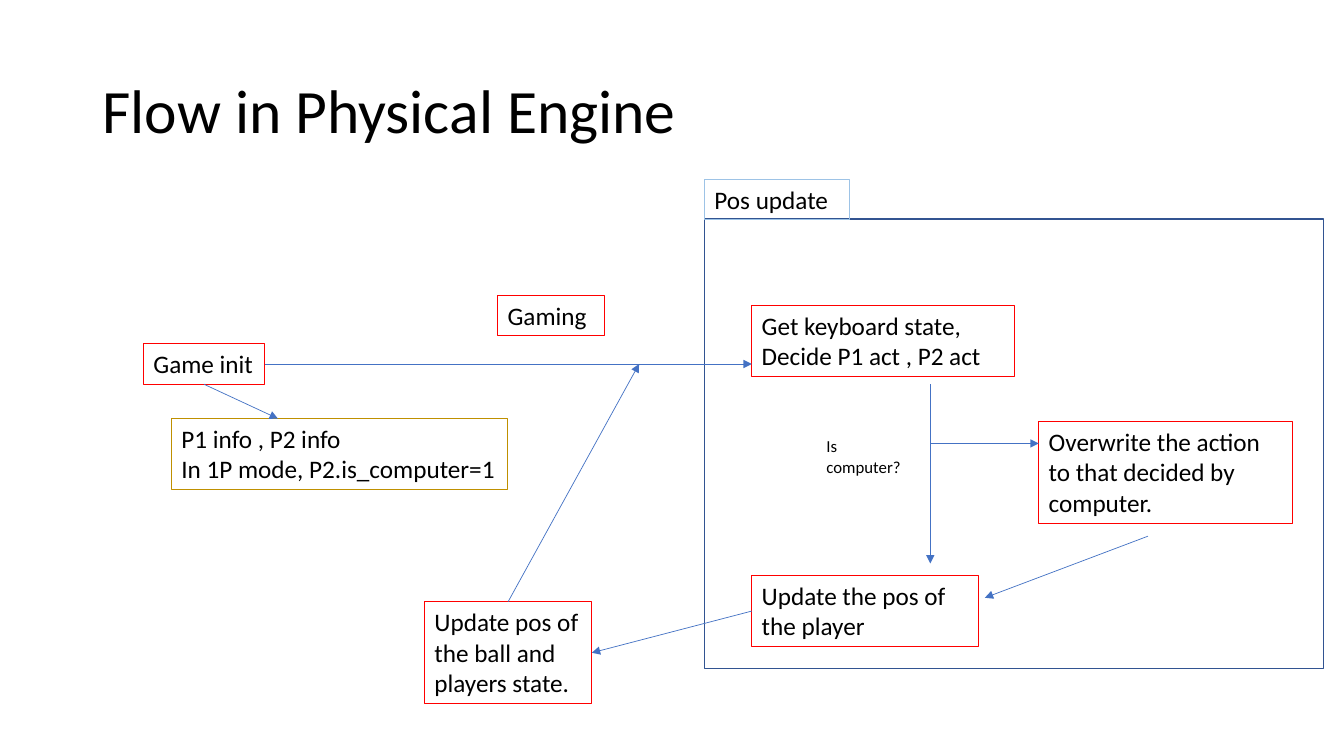
from pptx import Presentation
from pptx.dml.color import RGBColor as RGB
from pptx.enum.shapes import MSO_CONNECTOR as Link, MSO_SHAPE as Form
from pptx.enum.text import MSO_ANCHOR as Anchor, MSO_AUTO_SIZE as Fit
from pptx.oxml.ns import qn
from pptx.util import Pt
from lxml.etree import SubElement as Sub

BLACK = RGB(0, 0, 0)
WHITE = RGB(0xFF, 0xFF, 0xFF)
RED = RGB(0xFF, 0, 0)
GOLD = RGB(0xBF, 0x90, 0)
SKY = RGB(0x9D, 0xC3, 0xE6)
BLUE = RGB(0x44, 0x72, 0xC4)
NAVY = RGB(0x32, 0x54, 0x91)

# Connection sites of a box
TOP, LEFT, BOTTOM, RIGHT = range(4)


def write(frame, text, size=18, color=BLACK, font="Calibri", space=None):
    """Fill a text frame, one paragraph for each line of text."""
    for i, line in enumerate(text.split("\n")):
        par = frame.add_paragraph() if i else frame.paragraphs[0]
        par.line_spacing = space
        run = par.add_run()
        run.text = line
        run.font.size, run.font.name = Pt(size), font
        run.font.color.rgb = color


class Flow:
    """Style of the flow chart and the slide it is drawn on."""

    edge, thin = 0.75, 0.5

    def __init__(self, deck):
        self.slide = deck.slides.add_slide(deck.slide_layouts[5])
        self.shapes = self.slide.shapes

    def place(self, shape, left, top, width, height):
        shape.left, shape.top = Pt(left), Pt(top)
        shape.width, shape.height = Pt(width), Pt(height)

    def title(self, text, *area):
        head = self.shapes.title
        self.place(head, *area)
        head.text_frame.vertical_anchor = Anchor.MIDDLE
        write(head.text_frame, text, size=44, space=0.9)
        for par in head.text_frame.paragraphs:
            par.alignment = 1

    def box(self, text, *area, line=RED, size=18):
        box = self.shapes.add_textbox(*map(Pt, area))
        box.line.color.rgb, box.line.width = line, Pt(self.edge)
        frame = box.text_frame
        frame.word_wrap = True
        frame.auto_size = Fit.SHAPE_TO_FIT_TEXT
        write(frame, text, size=size)
        return box

    def frame(self, *area):
        rect = self.shapes.add_shape(Form.RECTANGLE, *map(Pt, area))
        rect.shadow.inherit = False
        rect.fill.background()
        rect.line.color.rgb, rect.line.width = NAVY, Pt(1)

    def arrow(self, start, end, tie=None, goal=None):
        """Join two points; tie and goal glue an end to (box, site)."""
        link = self.shapes.add_connector(
            Link.STRAIGHT, *map(Pt, (*start, *end)))
        link.line.color.rgb, link.line.width = BLUE, Pt(self.thin)
        if tie:
            link.begin_connect(*tie)
        if goal:
            link.end_connect(*goal)
        Sub(link.line._get_or_add_ln(), qn("a:tailEnd"), type="triangle")
        Sub(link._element.spPr, qn("a:effectLst"))


deck = Presentation()
deck.slide_width, deck.slide_height = Pt(960), Pt(540)
flow = Flow(deck)
flow.title("Flow in Physical Engine", 66, 28.75, 828, 104.4)

# Start of the game
flow.box("Gaming", 355.5, 211, 76.5, 29)
init = flow.box("Game init", 102.5, 245.5, 86.5, 29)
flow.box("P1 info , P2 info\nIn 1P mode, P2.is_computer=1",
         122.5, 299, 240, 51, line=GOLD)

# Position update
flow.frame(503.25, 156.5, 442, 321)
flow.box("Pos update", 503.25, 128, 103.75, 29, line=SKY)
flow.box("Get keyboard state,\nDecide P1 act , P2 act", 537, 218, 187.5, 51)
flow.box("Is computer?", 583.25, 308, 76.25, 21.75, line=WHITE, size=12)
flow.box("Overwrite the action to that decided by computer.",
         742, 301, 181, 73)
player = flow.box("Update the pos of the player", 537, 411, 162, 51)

# Ball update
ball = flow.box("Update pos of the ball and players state.",
                303.25, 429.75, 119.5, 73)

# Arrows
flow.arrow((189, 260), (537, 260), tie=(init, RIGHT))
flow.arrow((145.5, 274.5), (198.5, 299), tie=(init, BOTTOM))
flow.arrow((664.5, 274.5), (664.5, 402.5))
flow.arrow((664.5, 316.75), (742, 316.75))
flow.arrow((820, 383), (703.5, 427))
flow.arrow((537, 436.5), (422.75, 466.5),
           tie=(player, LEFT), goal=(ball, RIGHT))
flow.arrow((363, 429.75), (456.5, 260), tie=(ball, TOP))

deck.save("out.pptx")
